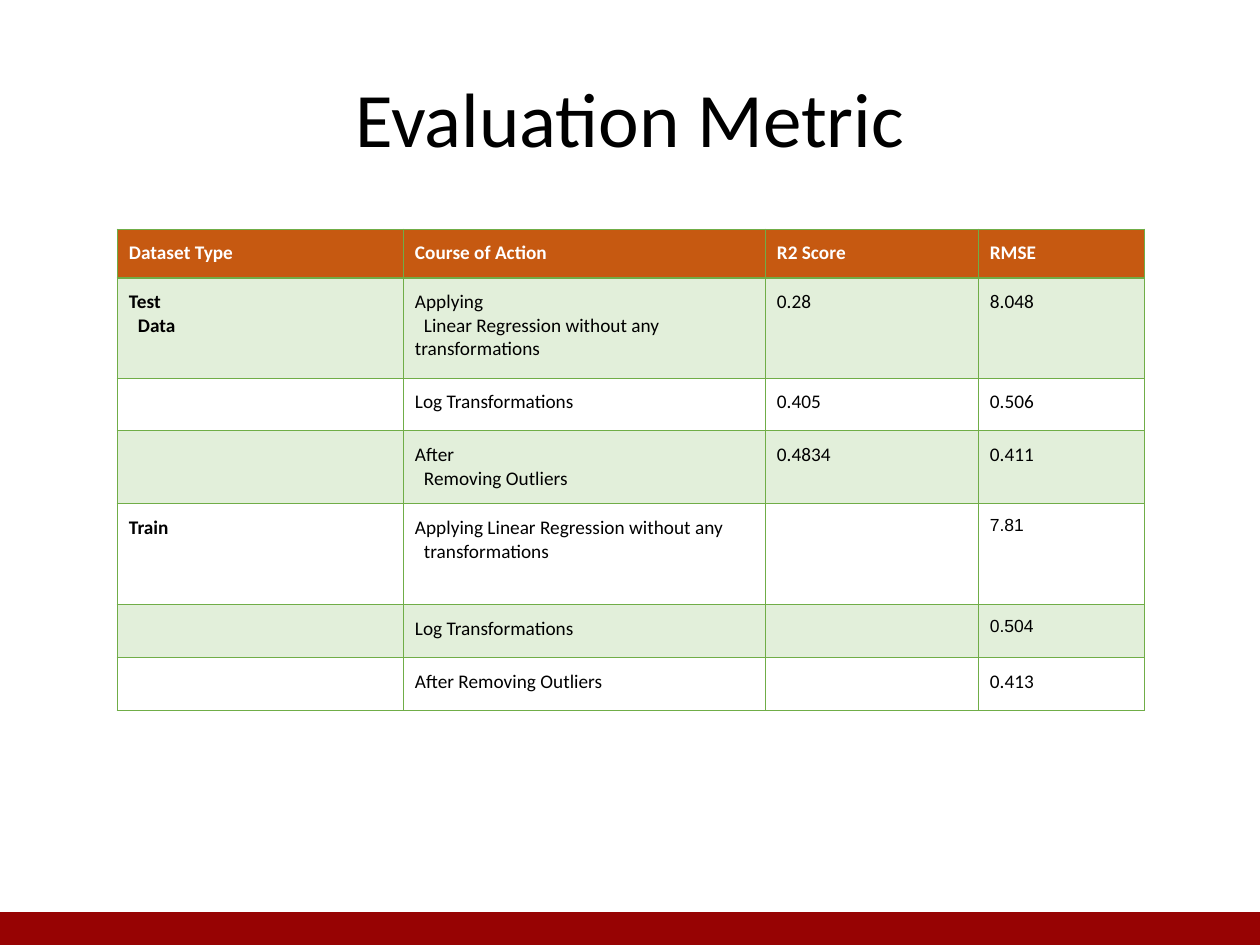
from lxml import etree
from pptx import Presentation
from pptx import util as u
from pptx.dml.color import RGBColor
from pptx.enum import shapes, text
from pptx.oxml import ns

COLOURS = {
    "header": "C65911", "band": "E2EFDA", "border": "70AD47",
    "footer": "970303", "white": "FFFFFF", "black": "000000",
}
TITLE = "Evaluation Metric"
# Each cell is a list of paragraphs; every paragraph after the first is indented.
ROWS = [
    [["Dataset Type"], ["Course of Action"], ["R2 Score"], ["RMSE"]],
    [["Test", "Data"],
     ["Applying", "Linear Regression without any transformations"],
     ["0.28"], ["8.048"]],
    [[], ["Log Transformations"], ["0.405"], ["0.506"]],
    [[], ["After", "Removing Outliers"], ["0.4834"], ["0.411"]],
    [["Train"], ["Applying Linear Regression without any", "transformations"],
     [], ["7.81"]],
    [[], ["Log Transformations"], [], ["0.504"]],
    [[], ["After Removing Outliers"], [], ["0.413"]],
]
ARIAL_VALUES = {"7.81", "0.504"}
COLUMN_WIDTHS = [286, 362, 213, 166]
ROW_HEIGHTS = [49, 100, 53, 73, 101, 53, 53]
CELL_MARGIN = 12
INDENT = 9


def px(length):
    return u.Emu(round(length * 914400 / 126))


def colour(name):
    return RGBColor.from_string(COLOURS[name])


def add_run(paragraph, words, size, font, colour_name, bold=False):
    run = paragraph.add_run()
    run.text = words
    run.font.size = u.Pt(size)
    run.font.name = font
    run.font.bold = bold
    run.font.color.rgb = colour(colour_name)


def set_borders(cell, row):
    properties = cell._tc.get_or_add_tcPr()
    for side in "LRTB":
        thick = (row, side) in {(0, "B"), (1, "T")}
        line = etree.SubElement(properties, ns.qn(f"a:ln{side}"),
                                w=str(u.Pt(1 if thick else 0.5)))
        fill = etree.SubElement(line, ns.qn("a:solidFill"))
        etree.SubElement(fill, ns.qn("a:srgbClr"), val=COLOURS["border"])


def fill_cell(cell, row, column, lines):
    set_borders(cell, row)
    if row == 0 or row % 2:
        cell.fill.solid()
        cell.fill.fore_color.rgb = colour("band" if row else "header")
    else:
        cell.fill.background()
    if not lines:
        return
    cell.margin_left = cell.margin_right = px(CELL_MARGIN)
    cell.margin_top = cell.margin_bottom = px(CELL_MARGIN)
    for index, words in enumerate(lines):
        frame = cell.text_frame
        paragraph = frame.add_paragraph() if index else frame.paragraphs[0]
        if index:
            paragraph._p.get_or_add_pPr().set("indent", str(px(INDENT)))
        size, font = (10, "Arial") if words in ARIAL_VALUES else (11, "Calibri")
        add_run(paragraph, words, size, font, "black" if row else "white",
                bold=row == 0 or column == 0)


def add_footer_bar(slide):
    bar = slide.shapes.add_shape(shapes.MSO_SHAPE.RECTANGLE,
                                 px(0), px(914), px(1260), px(31))
    bar.shadow.inherit = False
    bar.fill.solid()
    bar.fill.fore_color.rgb = colour("footer")
    bar.line.color.rgb = colour("footer")
    bar.line.width = u.Pt(2)


def format_title(title):
    title.left, title.top, title.width, title.height = map(px, (63, 38, 1134, 157))
    title.text_frame.vertical_anchor = text.MSO_ANCHOR.MIDDLE
    paragraph = title.text_frame.paragraphs[0]
    paragraph.alignment = text.PP_ALIGN.CENTER
    add_run(paragraph, TITLE, 44, "Calibri", "black")


def add_metrics_table(slide):
    frame = slide.shapes.add_table(len(ROWS), len(COLUMN_WIDTHS), px(117), px(229),
                                   px(sum(COLUMN_WIDTHS)), px(sum(ROW_HEIGHTS)))
    table = frame.table
    table.first_row = table.horz_banding = False
    for column, width in zip(table.columns, COLUMN_WIDTHS):
        column.width = px(width)
    for row, height in zip(table.rows, ROW_HEIGHTS):
        row.height = px(height)
    for row, cells in enumerate(ROWS):
        for column, lines in enumerate(cells):
            fill_cell(table.cell(row, column), row, column, lines)


def main():
    presentation = Presentation()
    presentation.slide_width, presentation.slide_height = px(1260), px(945)
    slide = presentation.slides.add_slide(presentation.slide_layouts[5])
    add_footer_bar(slide)
    format_title(slide.shapes.title)
    add_metrics_table(slide)
    presentation.save("out.pptx")


if __name__ == "__main__":
    main()
